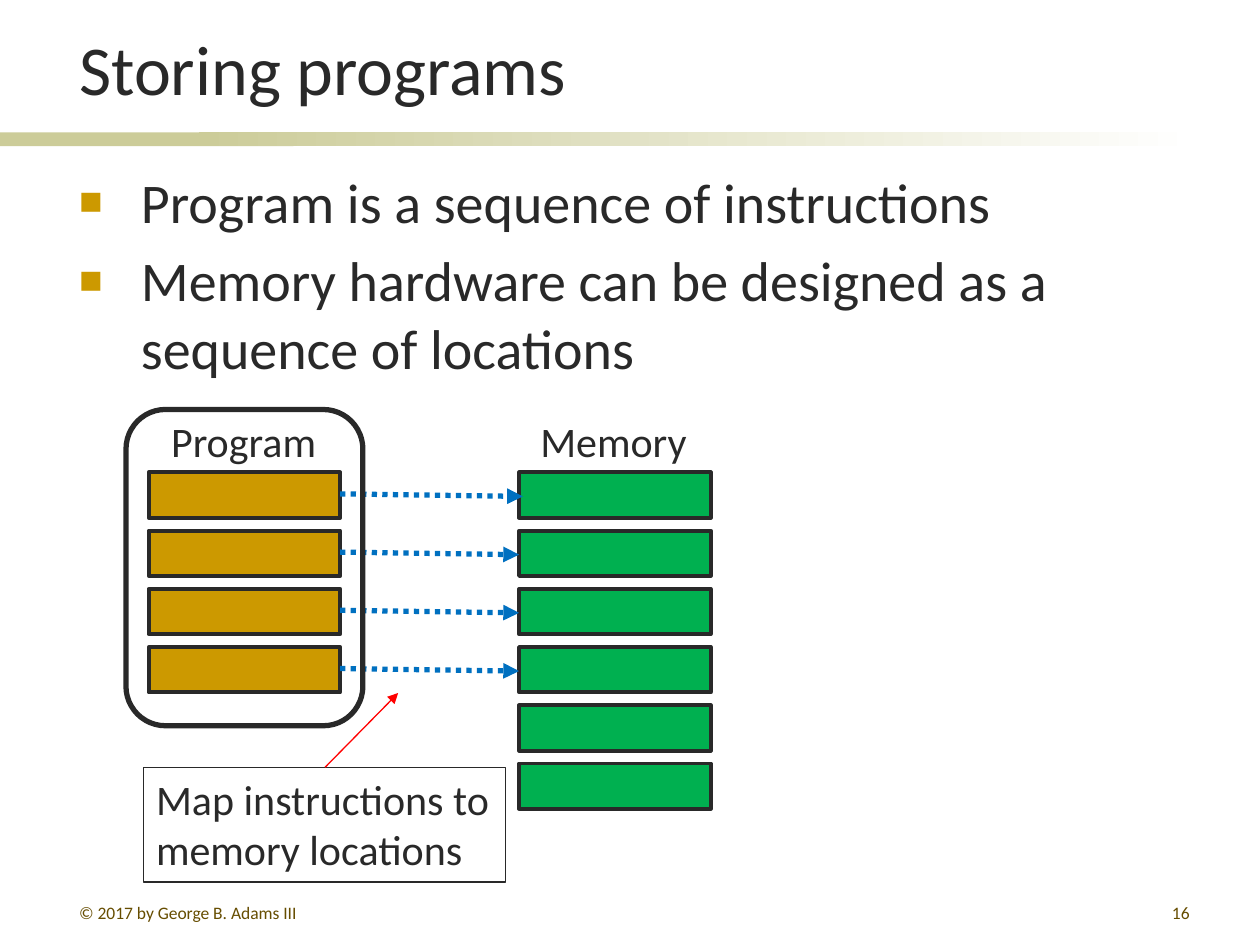
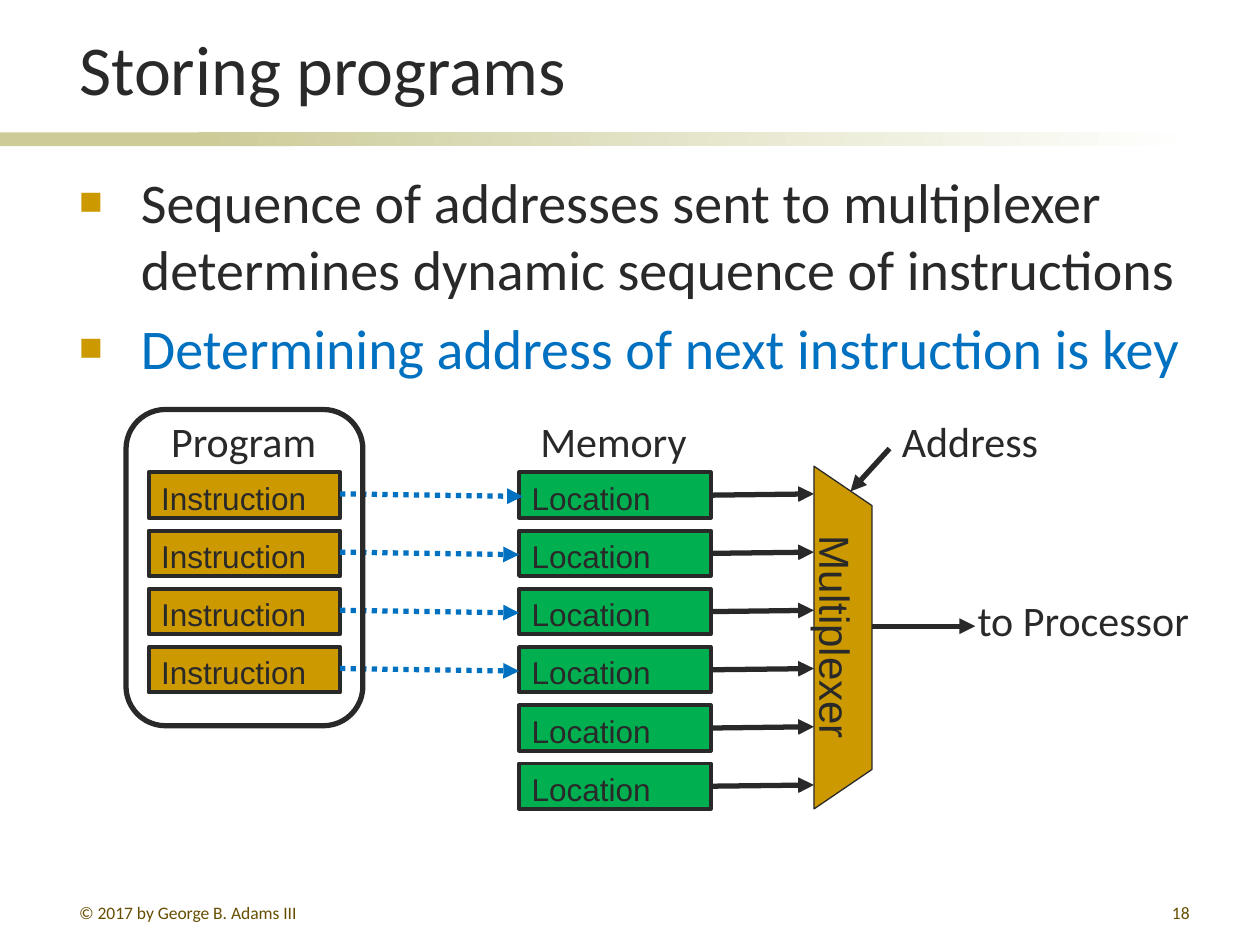
from dataclasses import dataclass
from typing import NamedTuple

from lxml.etree import SubElement
from pptx import Presentation
from pptx.dml.color import RGBColor
from pptx.enum.dml import MSO_LINE
from pptx.enum.shapes import MSO_CONNECTOR, MSO_SHAPE
from pptx.enum.text import MSO_ANCHOR, MSO_AUTO_SIZE, PP_ALIGN
from pptx.oxml.ns import qn
from pptx.util import Inches, Pt


@dataclass(frozen=True)
class Theme:
    ink: str = "292929"
    gold: str = "CC9900"
    green: str = "00B050"
    blue: str = "0070C0"
    red: str = "FF0000"
    band: str = "CCCC99"
    paper: str = "FFFFFF"
    footer: str = "664D00"
    font: str = "Calibri"
    box_font: str = "Arial"
    title_size: float = 40
    body_size: float = 32
    label_size: float = 24
    box_size: float = 18
    footer_size: float = 10
    thin: float = 0.75
    edge: float = 2.25
    thick: float = 3


class Box(NamedTuple):
    left: float
    top: float
    width: float
    height: float


class Point(NamedTuple):
    x: float
    y: float


class Bullet(NamedTuple):
    text: str
    color: str


class Column(NamedTuple):
    left: float
    rows: int
    fill: str


T = Theme()
TITLE = "Storing programs"
FOOTER = "© 2017 by George B. Adams III"

# Diagram grid
ROW_TOP, ROW_PITCH, BOX_W, BOX_H = 3.75, 0.46, 1.52, 0.36
ROW_PITCH = 2.31 / 5
PROGRAM = Column(1.18, 4, T.gold)
MEMORY = Column(4.12, 6, T.green)
MUX_LEFT = 6.46


def rgb(value: str) -> RGBColor:
    return RGBColor.from_string(value)


def inches(box: Box) -> list:
    return [Inches(v) for v in box]


def row_top(row: int) -> float:
    return ROW_TOP + row * ROW_PITCH


def add_run(p, text: str, size: float, color: str = T.ink, font: str = T.font) -> None:
    r = p.add_run()
    r.text = text
    r.font.size = Pt(size)
    r.font.name = font
    r.font.color.rgb = rgb(color)


def add_shape(s, kind, box: Box, fill: str = "", line: str = "", width: float = 0):
    sp = s.shapes.add_shape(kind, *inches(box))
    sp.shadow.inherit = False
    if fill:
        sp.fill.solid()
        sp.fill.fore_color.rgb = rgb(fill)
    else:
        sp.fill.background()
    if line:
        sp.line.color.rgb = rgb(line)
        sp.line.width = Pt(width)
    else:
        sp.line.fill.background()
    tf = sp.text_frame
    tf.word_wrap = True
    tf.vertical_anchor = MSO_ANCHOR.TOP
    tf.paragraphs[0].alignment = PP_ALIGN.LEFT
    return sp


def add_text(s, box: Box, text: str, size: float, color: str = T.ink,
             align=PP_ALIGN.LEFT, anchor=MSO_ANCHOR.TOP) -> None:
    tf = s.shapes.add_textbox(*inches(box)).text_frame
    tf.word_wrap = True
    tf.vertical_anchor = anchor
    p = tf.paragraphs[0]
    p.alignment = align
    add_run(p, text, size, color)


def add_label(s, box: Box, text: str) -> None:
    tf = s.shapes.add_textbox(*inches(box)).text_frame
    tf.word_wrap = False
    tf.auto_size = MSO_AUTO_SIZE.SHAPE_TO_FIT_TEXT
    add_run(tf.paragraphs[0], text, T.label_size)


def add_arrow(s, start: Point, end: Point, color: str = T.ink,
              width: float = T.thick, dotted: bool = False) -> None:
    c = s.shapes.add_connector(MSO_CONNECTOR.STRAIGHT,
                               *[Inches(v) for v in (*start, *end)])
    c.line.color.rgb = rgb(color)
    c.line.width = Pt(width)
    if dotted:
        c.line.dash_style = MSO_LINE.ROUND_DOT
    SubElement(c.line._get_or_add_ln(), qn("a:tailEnd"), type="triangle")
    SubElement(c._element.spPr, qn("a:effectLst"))


def add_bullets(s, bullets: list[Bullet]) -> None:
    tf = s.shapes.add_textbox(*inches(Box(0.53, 1.28, 9.02, 5.39))).text_frame
    tf.word_wrap = True
    for i, bullet in enumerate(bullets):
        p = tf.add_paragraph() if i else tf.paragraphs[0]
        p.space_before = Pt(0.2 * T.body_size)
        pPr = p._p.get_or_add_pPr()
        pPr.set("marL", str(Inches(0.49)))
        pPr.set("indent", str(-Inches(0.49)))
        SubElement(SubElement(pPr, qn("a:buClr")), qn("a:srgbClr"), val=T.gold)
        SubElement(pPr, qn("a:buSzPct"), val="70000")
        SubElement(pPr, qn("a:buFont"), typeface=T.box_font)
        SubElement(pPr, qn("a:buChar"), char="■")
        add_run(p, bullet.text, T.body_size, bullet.color)


def add_base(prs, number: int, bullets: list[Bullet]):
    """Slide with band, title, bullets and footer."""
    s = prs.slides.add_slide(prs.slide_layouts[6])
    add_shape(s, MSO_SHAPE.RECTANGLE, Box(0, 1.05, 2.33, 0.11), T.band)
    fade = add_shape(s, MSO_SHAPE.RECTANGLE, Box(1.58, 1.05, 7.92, 0.11), T.band)
    fade.fill.gradient()
    fade.fill.gradient_angle = 0
    for stop, color in zip(fade.fill.gradient_stops, (T.band, T.paper)):
        stop.color.rgb = rgb(color)
    add_text(s, Box(0.53, 0.11, 9.01, 0.81), TITLE, T.title_size,
             anchor=MSO_ANCHOR.BOTTOM)
    add_bullets(s, bullets)
    add_text(s, Box(0.53, 7.11, 2.17, 0.21), FOOTER, T.footer_size, T.footer)
    add_text(s, Box(7.46, 7.11, 2.08, 0.21), str(number), T.footer_size, T.footer,
             PP_ALIGN.RIGHT)
    return s


def add_column(s, column: Column, text: str) -> None:
    for row in range(column.rows):
        sp = add_shape(s, MSO_SHAPE.RECTANGLE,
                       Box(column.left, row_top(row), BOX_W, BOX_H),
                       column.fill, T.ink, T.edge)
        if text:
            add_run(sp.text_frame.paragraphs[0], text, T.box_size, font=T.box_font)


def add_columns(s, program_text: str = "", memory_text: str = "") -> None:
    add_column(s, PROGRAM, program_text)
    add_column(s, MEMORY, memory_text)
    add_label(s, Box(1.26, 3.25, 1.36, 0.5), "Program")
    add_label(s, Box(4.19, 3.25, 1.37, 0.5), "Memory")


def add_mapping(s) -> None:
    """Dotted arrows from instructions to locations; the first enters its box."""
    for row in range(PROGRAM.rows):
        end_x = MEMORY.left + (0 if row else 0.03)
        add_arrow(s, Point(PROGRAM.left + BOX_W, row_top(row) + 0.17),
                  Point(end_x, row_top(row) + 0.19), T.blue, dotted=True)


def add_program_frame(s) -> None:
    add_shape(s, MSO_SHAPE.ROUNDED_RECTANGLE, Box(1, 3.25, 1.88, 2.51),
              line=T.ink, width=T.thick)


def add_multiplexer(s) -> None:
    mux = add_shape(s, MSO_SHAPE.TRAPEZOID, Box(5.33, 4.83, 2.72, 0.46),
                    T.gold, T.ink, T.thin)
    mux.rotation = 90
    mux.adjustments[0] = 0.68
    tf = mux.text_frame
    tf.margin_bottom = Inches(0.2)
    p = tf.paragraphs[0]
    p.alignment = PP_ALIGN.CENTER
    add_run(p, "Multiplexer", T.label_size, font=T.box_font)
    for row in range(MEMORY.rows):
        add_arrow(s, Point(MEMORY.left + BOX_W, row_top(row) + 0.18),
                  Point(MUX_LEFT, row_top(row) + 0.17))


def mapping_slide(prs) -> None:
    s = add_base(prs, 16, [
        Bullet("Program is a sequence of instructions", T.ink),
        Bullet("Memory hardware can be designed as a sequence of locations", T.ink),
    ])
    add_columns(s)
    add_mapping(s)
    # Callout
    note = add_shape(s, MSO_SHAPE.RECTANGLE, Box(1.14, 6.09, 2.87, 0.91),
                     line=T.ink, width=T.thin)
    note.text_frame.auto_size = MSO_AUTO_SIZE.SHAPE_TO_FIT_TEXT
    add_run(note.text_frame.paragraphs[0], "Map instructions to memory locations",
            T.label_size)
    add_arrow(s, Point(2.58, 6.09), Point(3.16, 5.5), T.red, T.thin)
    add_program_frame(s)


def multiplexer_slide(prs) -> None:
    s = add_base(prs, 18, [
        Bullet("Sequence of addresses sent to multiplexer determines dynamic "
               "sequence of instructions", T.ink),
        Bullet("Determining address of next instruction is key", T.blue),
    ])
    add_columns(s, "Instruction", "Location")
    add_multiplexer(s)
    add_mapping(s)
    # Multiplexer output and address input
    add_arrow(s, Point(6.92, 4.97), Point(7.74, 4.97))
    add_label(s, Box(7.66, 4.67, 1.89, 0.5), "to Processor")
    add_arrow(s, Point(7.06, 3.56), Point(6.75, 3.9))
    add_label(s, Box(7.06, 3.25, 1.3, 0.5), "Address")
    add_program_frame(s)


prs = Presentation()
prs.slide_width, prs.slide_height = Inches(10), Inches(7.5)
mapping_slide(prs)
multiplexer_slide(prs)
prs.save("out.pptx")
